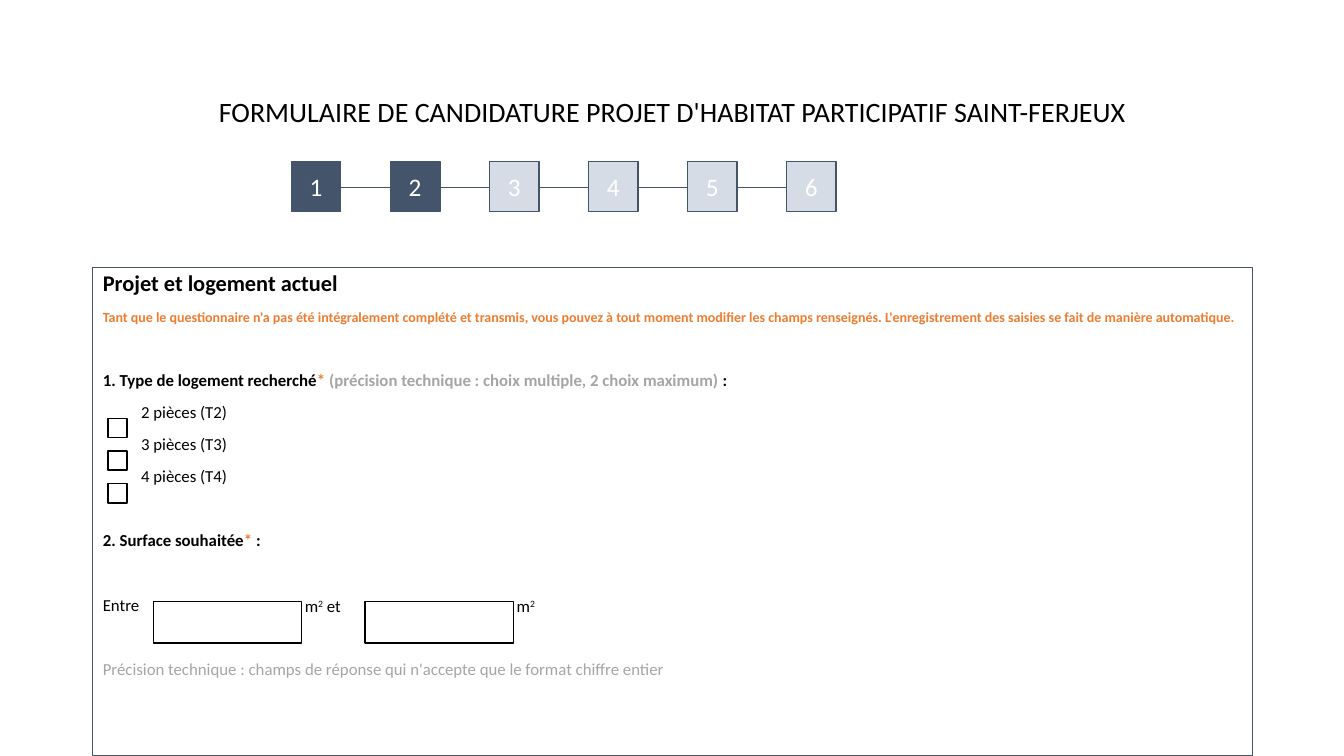
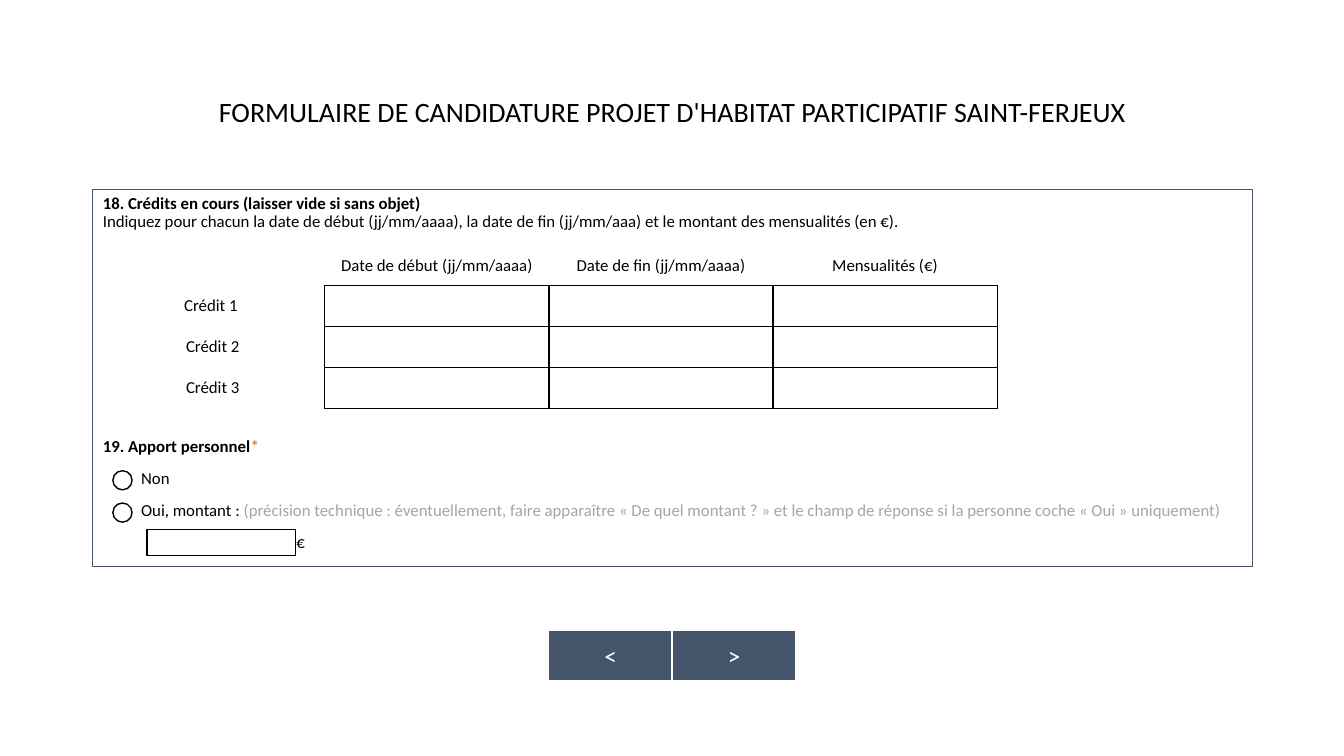
"""Build two screens of a housing application form."""
from lxml import etree
from pptx import Presentation
from pptx.dml.color import RGBColor
from pptx.enum.shapes import MSO_CONNECTOR, MSO_SHAPE
from pptx.enum.text import MSO_ANCHOR, MSO_AUTO_SIZE, PP_ALIGN
from pptx.oxml.ns import qn
from pptx.util import Inches, Pt

WIDTH, HEIGHT = Inches(13.33), Inches(7.5)
FONT = "Calibri"
BLACK = RGBColor(0x00, 0x00, 0x00)
WHITE = RGBColor(0xFF, 0xFF, 0xFF)
NAVY = RGBColor(0x44, 0x54, 0x6A)
PALE = RGBColor(0xD6, 0xDC, 0xE5)
ORANGE = RGBColor(0xED, 0x7D, 0x31)
GREY = RGBColor(0xA5, 0xA5, 0xA5)
TITLE = "FORMULAIRE DE CANDIDATURE PROJET D'HABITAT PARTICIPATIF SAINT-FERJEUX"
LEFT, SPAN = 6.9, 86.27
GAP, BLANK_LINE = 10, 22.95
OPTION_INDENT = 0.38
FIELD_WIDTH = 11.03
BUTTON_HEIGHT = 6.67


def grid(x, y, w, h):
    """Turn percentages of the slide's width and height into lengths."""
    return (int(WIDTH * x / 100), int(HEIGHT * y / 100),
            int(WIDTH * w / 100), int(HEIGHT * h / 100))


def place(sp, x, y, w, h):
    """Move and size a placeholder on the percentage grid."""
    sp.left, sp.top, sp.width, sp.height = grid(x, y, w, h)


def add_run(p, text, size=12, color=BLACK, bold=False, raised=False):
    """Add one formatted run to a paragraph."""
    r = p.add_run()
    r.text = text
    r.font.name, r.font.size, r.font.bold = FONT, Pt(size), bold
    r.font.color.rgb = color
    if raised:
        r._r.get_or_add_rPr().set("baseline", "30000")
    return r


def add_line(tf, runs, blanks=0, indent=0.0, align=PP_ALIGN.LEFT):
    """Add an unbulleted paragraph, leaving room for blank lines above it."""
    p = tf.paragraphs[0]
    if p.runs:
        p = tf.add_paragraph()
    p.alignment = align
    p.line_spacing = 0.9
    p.space_before = Pt(GAP + blanks * BLANK_LINE)
    p_pr = p._p.get_or_add_pPr()
    p_pr.set("marL", str(Inches(indent)))
    p_pr.set("indent", "0")
    etree.SubElement(p_pr, qn("a:buNone"))
    for text, style in runs:
        add_run(p, text, **style)
    return p


def add_form_slide(prs, top, height):
    """Add a slide with the form title and a framed body; return it and its text."""
    s = prs.slides.add_slide(prs.slide_layouts[1])
    title, body = s.shapes.title, s.placeholders[1]
    place(title, LEFT, 5.33, SPAN, 19.33)
    place(body, LEFT, top, SPAN, height)
    body.line.color.rgb, body.line.width = NAVY, Pt(0.75)
    for sp, anchor in ((title, MSO_ANCHOR.MIDDLE), (body, MSO_ANCHOR.TOP)):
        tf = sp.text_frame
        tf.word_wrap, tf.auto_size = True, MSO_AUTO_SIZE.NONE
        tf.vertical_anchor = anchor
    add_line(title.text_frame, [(TITLE, {"size": 20})], align=PP_ALIGN.CENTER)
    return s, body.text_frame


def add_box(s, x, y, w, h, kind=MSO_SHAPE.RECTANGLE, fill=None, line=BLACK, label=""):
    """Add an outlined shape with an optional fill and centred label."""
    sp = s.shapes.add_shape(kind, *grid(x, y, w, h))
    sp.shadow.inherit = False
    sp.line.color.rgb, sp.line.width = line, Pt(1)
    if fill is None:
        sp.fill.background()
    else:
        sp.fill.solid()
        sp.fill.fore_color.rgb = fill
    if label:
        tf = sp.text_frame
        tf.vertical_anchor = MSO_ANCHOR.MIDDLE
        tf.paragraphs[0].alignment = PP_ALIGN.CENTER
        add_run(tf.paragraphs[0], label, 18, WHITE)
    return sp


def add_area_field(s, x, suffix=""):
    """Add an input box followed by its square-metre unit and a suffix."""
    add_box(s, x, 79.6, FIELD_WIDTH, 5.47)
    tf = s.shapes.add_textbox(*grid(x + FIELD_WIDTH + 0.25, 78.75, 4, 2.67)).text_frame
    tf.word_wrap, tf.vertical_anchor = True, MSO_ANCHOR.MIDDLE
    tf.margin_left = tf.margin_right = tf.margin_top = tf.margin_bottom = 0
    p = tf.paragraphs[0]
    add_run(p, "m")
    add_run(p, "2", raised=True)
    if suffix:
        add_run(p, suffix)


def add_choices(s, x, y, pitch, count, kind):
    """Add a column of equally spaced tick marks."""
    for i in range(count):
        add_box(s, x, y + i * pitch, 1.43, 2.53, kind)


def add_steps(s, count, done):
    """Add the numbered progress bar, with finished steps dark."""
    start, y, length, _ = grid(21.9, 24.8, 40.29, 0)
    link = s.shapes.add_connector(MSO_CONNECTOR.STRAIGHT, start, y, start + length, y)
    link.line.color.rgb, link.line.width = NAVY, Pt(0.5)
    etree.SubElement(link._element.spPr, qn("a:effectLst"))
    for i in range(count):
        add_box(s, 21.68 + i * 7.37, 21.33, 3.68, BUTTON_HEIGHT,
                fill=NAVY if i < done else PALE, line=NAVY, label=str(i + 1))


def set_borders(cell, sides):
    """Draw thin black borders on the given sides of a cell."""
    tc_pr = cell._tc.get_or_add_tcPr()
    for index, side in enumerate(sides):
        ln = etree.Element(qn("a:ln" + side), w=str(Pt(1)))
        fill = etree.SubElement(ln, qn("a:solidFill"))
        etree.SubElement(fill, qn("a:srgbClr"), val=str(BLACK))
        tc_pr.insert(index, ln)


def add_answer_table(s, headers, labels):
    """Add a table of empty answer cells with column and row labels."""
    rows = [["", *headers]] + [[label] + [""] * len(headers) for label in labels]
    table = s.shapes.add_table(len(rows), len(rows[0]), *grid(7.5, 32.4, 66.69, 21.6)).table
    table.first_row = table.horz_banding = False
    for i, row in enumerate(rows):
        for j, text in enumerate(row):
            cell = table.cell(i, j)
            cell.fill.solid()
            cell.fill.fore_color.rgb = WHITE
            cell.vertical_anchor = MSO_ANCHOR.MIDDLE
            if text:
                p = cell.text_frame.paragraphs[0]
                p.alignment = PP_ALIGN.CENTER
                add_run(p, text)
            if i and j:
                set_borders(cell, "LRTB")
            elif i or j:
                set_borders(cell, "R" if i else "B")


def build_housing_slide(prs):
    """Build the screen about the project and current housing."""
    s, tf = add_form_slide(prs, 35.33, 64.67)
    bold, star, note = {"bold": True}, {"bold": True, "color": ORANGE}, {"color": GREY}
    add_line(tf, [("Projet et logement actuel", {"size": 16, "bold": True})])
    add_line(tf, [("Tant que le questionnaire n'a pas été intégralement complété et transmis, "
                   "vous pouvez à tout moment modifier les champs renseignés. "
                   "L'enregistrement des saisies se fait de manière automatique.",
                   {"size": 10, **star})])
    add_line(tf, [("1. Type de logement recherché", bold), ("*\u00a0", star),
                  ("(précision technique : choix multiple, 2 choix maximum)",
                   {"bold": True, **note}), (" :", bold)], blanks=1)
    for rooms in (2, 3, 4):
        add_line(tf, [(f"{rooms} pièces (T{rooms})", {})], indent=OPTION_INDENT)
    add_line(tf, [("2. Surface souhaitée", bold), ("*", star), (" :", bold)], blanks=1)
    add_line(tf, [("Entre", {})], blanks=1)
    add_line(tf, [("Précision technique : champs de réponse qui n'accepte "
                   "que le format chiffre entier", note)], blanks=1)
    add_steps(s, 6, 2)
    add_choices(s, 8.03, 55.33, 4.33, 3, MSO_SHAPE.RECTANGLE)
    add_area_field(s, 11.4, " et")
    add_area_field(s, 27.16)


def build_credit_slide(prs):
    """Build the screen about credits and personal contribution."""
    s, tf = add_form_slide(prs, 25.07, 49.87)
    p = add_line(tf, [("18. Crédits en cours (laisser vide si sans objet)", {"bold": True})])
    p.add_line_break()
    add_run(p, "Indiquez pour chacun la date de début (jj/mm/aaaa), la date de fin "
               "(jj/mm/aaa) et le montant des mensualités (en €).")
    add_line(tf, [("19. Apport personnel", {"bold": True}),
                  ("*", {"bold": True, "color": ORANGE})], blanks=6)
    add_line(tf, [("Non", {})], indent=OPTION_INDENT)
    add_line(tf, [("Oui, montant : ", {}),
                  ("(précision technique : éventuellement, faire apparaître "
                   "«\u00a0De quel montant ?\u00a0» et le champ de réponse si la personne "
                   "coche «\u00a0Oui\u00a0» uniquement)", {"color": GREY})],
             indent=OPTION_INDENT)
    add_line(tf, [("€", {})], indent=1.92)
    for i, label in enumerate("<>"):
        add_box(s, 40.81 + i * 9.19, 83.33, 9.23, BUTTON_HEIGHT,
                fill=NAVY, line=WHITE, label=label)
    add_answer_table(s, ["Date de début (jj/mm/aaaa)", "Date de fin (jj/mm/aaaa)",
                         "Mensualités (€)"], ["Crédit 1 ", "Crédit 2", "Crédit 3"])
    add_choices(s, 8.4, 62.27, 4.27, 2, MSO_SHAPE.OVAL)
    add_box(s, 10.95, 70, FIELD_WIDTH, 3.47)


def main():
    """Create the presentation and save it."""
    prs = Presentation()
    prs.slide_width, prs.slide_height = WIDTH, HEIGHT
    build_housing_slide(prs)
    build_credit_slide(prs)
    prs.save("out.pptx")


main()
